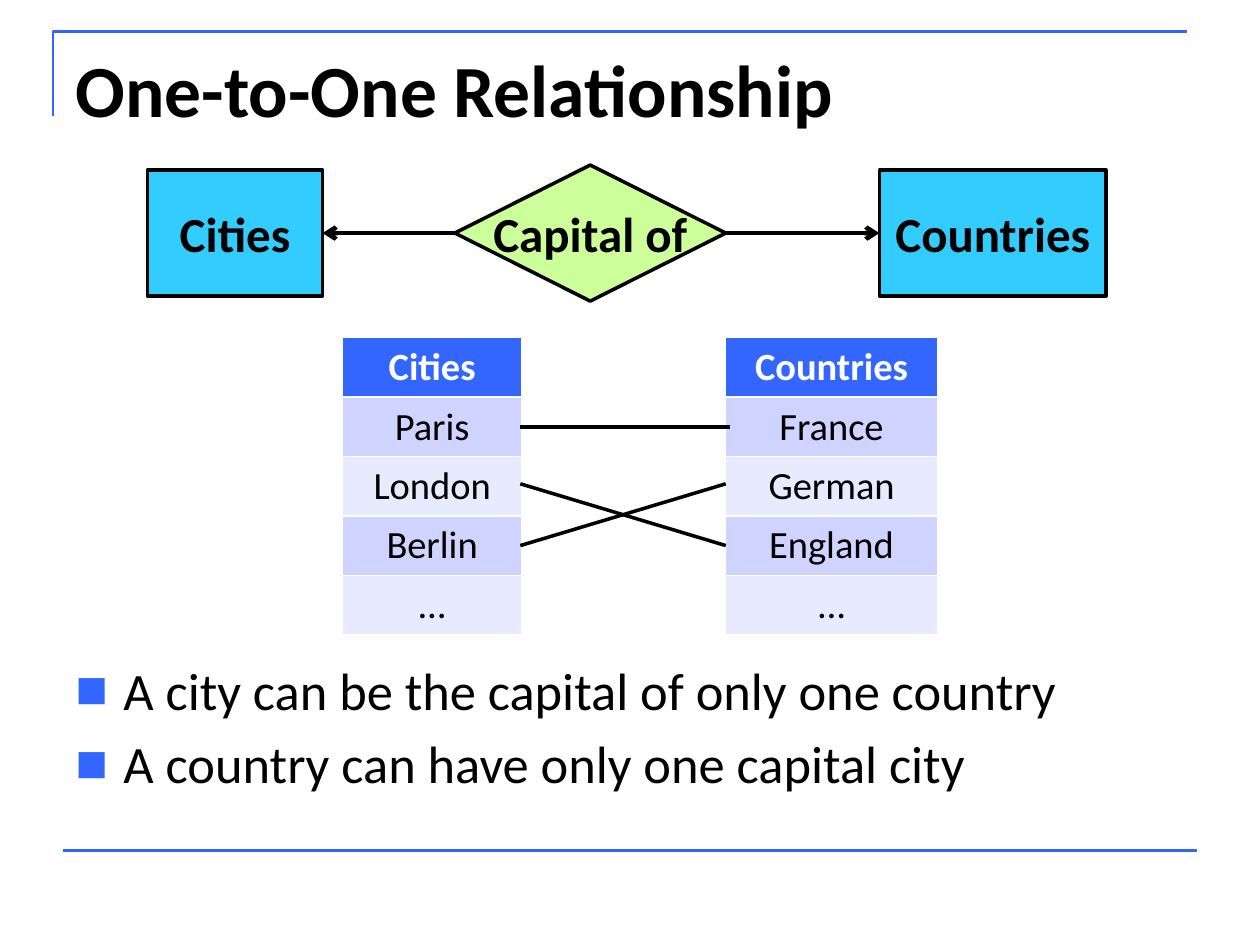
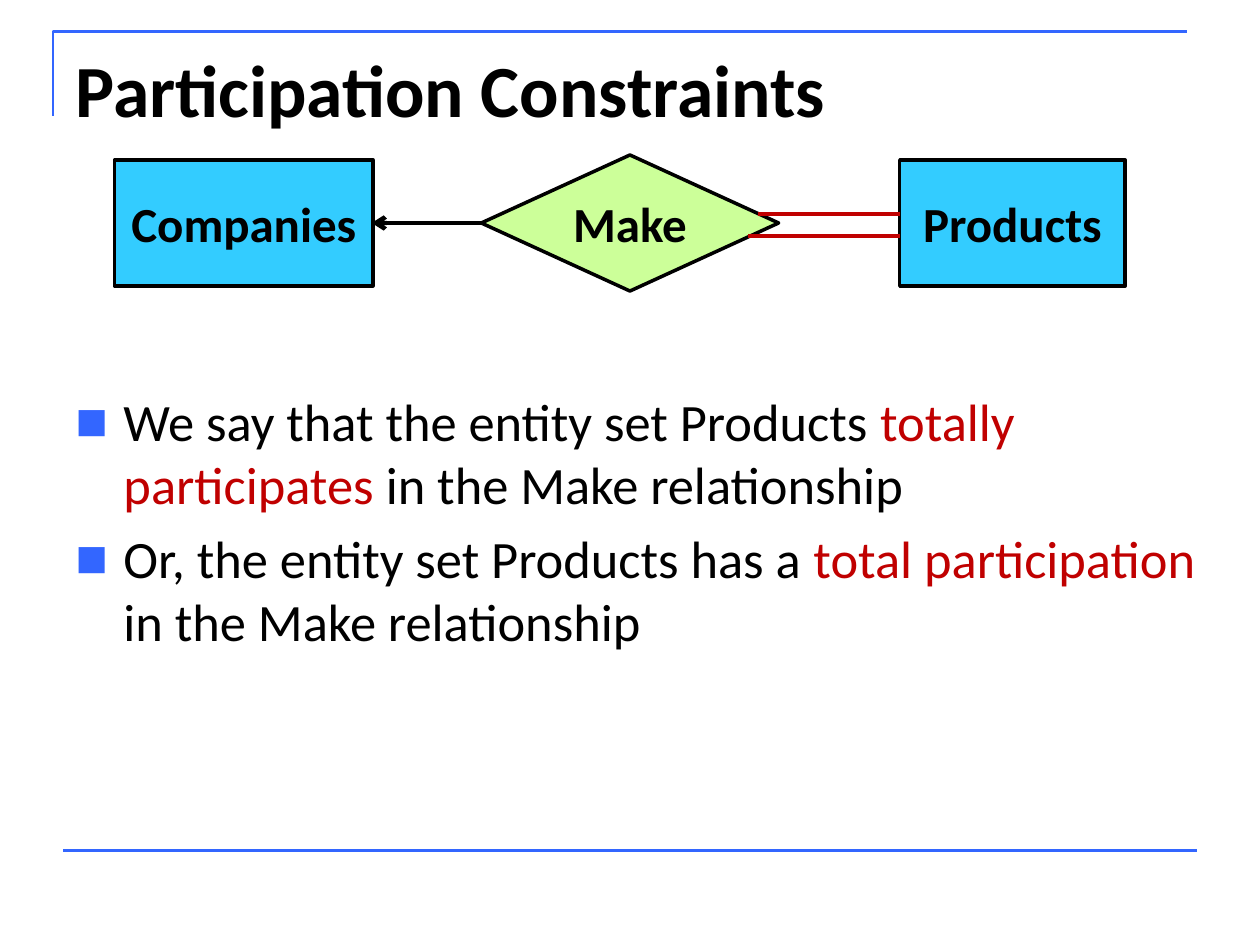
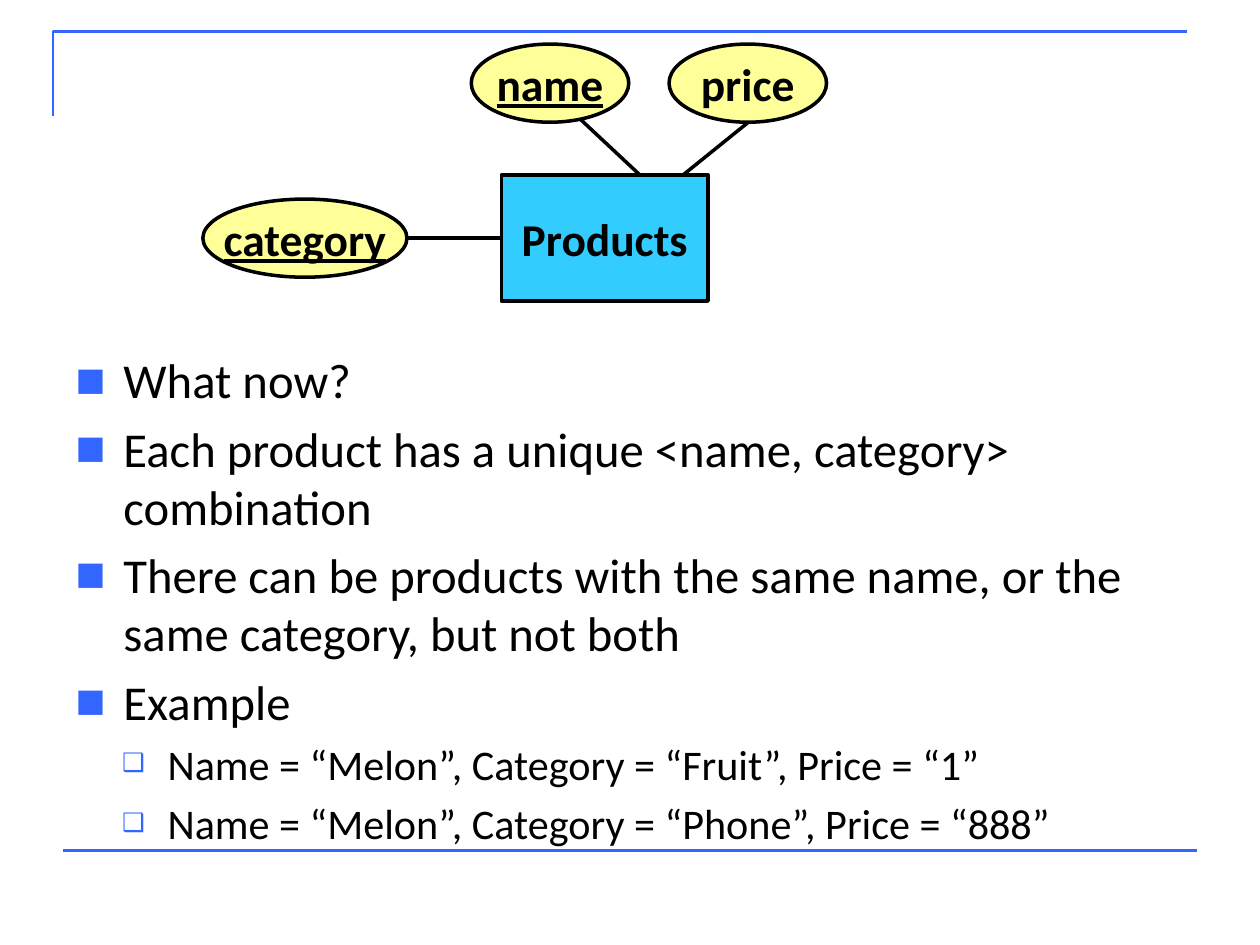
from dataclasses import dataclass

from lxml import etree
from pptx import Presentation
from pptx.dml.color import RGBColor
from pptx.enum.shapes import MSO_CONNECTOR, MSO_SHAPE
from pptx.enum.text import MSO_ANCHOR, MSO_AUTO_SIZE, PP_ALIGN
from pptx.oxml.ns import qn
from pptx.util import Inches, Pt

RECTANGLE, DIAMOND, OVAL = MSO_SHAPE.RECTANGLE, MSO_SHAPE.DIAMOND, MSO_SHAPE.OVAL
STRAIGHT = MSO_CONNECTOR.STRAIGHT
CENTER, LEFT = PP_ALIGN.CENTER, PP_ALIGN.LEFT
TOP, MIDDLE = MSO_ANCHOR.TOP, MSO_ANCHOR.MIDDLE
NO_AUTOFIT = MSO_AUTO_SIZE.NONE
TITLE_AND_CONTENT = 1


@dataclass(frozen=True)
class Theme:
    font: str = "Calibri"
    ink: str = "000000"
    paper: str = "FFFFFF"
    blue: str = "3366FF"
    accent: str = "C00000"
    entity: str = "33CCFF"
    relationship: str = "CCFF99"
    attribute: str = "FFFF99"
    row_bands: tuple = ("CED3FF", "E8EAFF")
    title_size: float = 42
    list_size: float = 30
    label_size: float = 28
    attribute_size: float = 26
    table_size: float = 22
    frame_line: float = 1.5
    outline: float = 2
    arrow_line: float = 2.5
    total_line: float = 2.25


THEME = Theme()
# Bullet character, size in percent, left margin and hanging indent, by level
BULLETS = [("■", 65, 0.38, 0.38), ("❑", 60, 0.73, 0.36)]


def rgb(color):
    return RGBColor.from_string(color)


def style_font(font, size, color=THEME.ink, bold=False):
    font.name = THEME.font
    font.size = Pt(size)
    font.bold = bold
    font.color.rgb = rgb(color)


def style_line(line, color, width):
    line.color.rgb = rgb(color)
    line.width = Pt(width)


def place(shape, left, top, width, height):
    shape.left, shape.top = Inches(left), Inches(top)
    shape.width, shape.height = Inches(width), Inches(height)


def add_line(page, start, end, color=THEME.ink, width=THEME.outline, arrow=False):
    ends = [Inches(value) for value in (*start, *end)]
    connector = page.shapes.add_connector(STRAIGHT, *ends)
    style_line(connector.line, color, width)
    if arrow:
        etree.SubElement(connector.line._get_or_add_ln(), qn("a:tailEnd"), type="arrow")
    etree.SubElement(connector._element.spPr, qn("a:effectLst"))


def add_frame(page):
    """Draw the corner rule at the top left and the rule at the foot."""
    corner = page.shapes.build_freeform(Inches(0.42), Inches(0.92))
    corner.add_line_segments(
        [(Inches(0.42), Inches(0.25)), (Inches(9.42), Inches(0.25))], close=False)
    rule = corner.convert_to_shape()
    rule.fill.background()
    rule.shadow.inherit = False
    style_line(rule.line, THEME.blue, THEME.frame_line)
    add_line(page, (0.5, 6.75), (9.5, 6.75), THEME.blue, THEME.frame_line)


def add_page(deck, title=None):
    page = deck.slides.add_slide(deck.slide_layouts[TITLE_AND_CONTENT])
    add_frame(page)
    heading = page.shapes.title
    if title is None:
        heading._element.getparent().remove(heading._element)
        return page
    place(heading, 0.5, 0.3, 9, 1.25)
    frame = heading.text_frame
    frame.text = title
    frame.auto_size = NO_AUTOFIT
    frame.vertical_anchor = TOP
    para = frame.paragraphs[0]
    para.alignment = LEFT
    style_font(para.runs[0].font, THEME.title_size, bold=True)
    return page


def add_bullet(para, level):
    character, percent, margin, hanging = BULLETS[level]
    para.level = level
    props = para._p.get_or_add_pPr()
    props.set("marL", str(Inches(margin)))
    props.set("indent", str(-Inches(hanging)))
    color = etree.SubElement(props, qn("a:buClr"))
    etree.SubElement(color, qn("a:srgbClr"), val=THEME.blue)
    etree.SubElement(props, qn("a:buSzPct"), val=str(percent * 1000))
    etree.SubElement(props, qn("a:buFont"), typeface=THEME.font)
    etree.SubElement(props, qn("a:buChar"), char=character)


def fill_list(page, bounds, items, sizes=(THEME.list_size,)):
    """Fill the body with (level, text) items; text between asterisks is accented."""
    body = page.placeholders[1]
    place(body, *bounds)
    frame = body.text_frame
    frame.auto_size = NO_AUTOFIT
    frame.vertical_anchor = TOP
    for index, (level, text) in enumerate(items):
        para = frame.paragraphs[0] if index == 0 else frame.add_paragraph()
        add_bullet(para, level)
        para.space_before = Pt(0.2 * sizes[level] if index else 0)
        for part, words in enumerate(text.split("*")):
            span = para.add_run()
            span.text = words
            style_font(span.font, sizes[level], THEME.accent if part % 2 else THEME.ink)


def add_node(page, kind, text, bounds, fill, size=THEME.label_size, key=False):
    """Add a labelled diagram shape; the label of a key is underlined."""
    node = page.shapes.add_shape(kind, *[Inches(value) for value in bounds])
    node.shadow.inherit = False
    node.fill.solid()
    node.fill.fore_color.rgb = rgb(fill)
    style_line(node.line, THEME.ink, THEME.outline)
    frame = node.text_frame
    frame.text = text
    frame.word_wrap = False
    frame.vertical_anchor = MIDDLE
    para = frame.paragraphs[0]
    para.alignment = CENTER
    font = para.runs[0].font
    style_font(font, size, bold=True)
    if key:
        font.underline = True


def add_entity(page, text, bounds, size=THEME.label_size):
    add_node(page, RECTANGLE, text, bounds, THEME.entity, size)


def add_relationship(page, text, bounds):
    add_node(page, DIAMOND, text, bounds, THEME.relationship)


def add_attribute(page, text, left, top, width, key=False):
    add_node(page, OVAL, text, (left, top, width, 0.62), THEME.attribute,
             THEME.attribute_size, key)


def add_arrow(page, start, end):
    add_line(page, start, end, width=THEME.arrow_line, arrow=True)


def add_column_table(page, left, width, values):
    """Add a one-column table whose first value is the header."""
    bounds = [Inches(value) for value in (left, 2.68, width, 2.33)]
    table = page.shapes.add_table(len(values), 1, *bounds).table
    for row, value in enumerate(values):
        header = row == 0
        cell = table.cell(row, 0)
        cell.fill.solid()
        cell.fill.fore_color.rgb = rgb(THEME.blue if header else THEME.row_bands[(row - 1) % 2])
        cell.text = value
        para = cell.text_frame.paragraphs[0]
        para.alignment = CENTER
        style_font(para.runs[0].font, THEME.table_size,
                   THEME.paper if header else THEME.ink, header)


def build_one_to_one(deck):
    page = add_page(deck, "One-to-One Relationship")
    fill_list(page, (0.5, 5.17, 9.3, 1.54), [
        (0, "A city can be the capital of only one country"),
        (0, "A country can have only one capital city"),
    ])
    add_entity(page, "Countries", (6.98, 1.35, 1.8, 1))
    add_entity(page, "Cities", (1.17, 1.35, 1.39, 1))
    add_relationship(page, "Capital of", (3.61, 1.31, 2.15, 1.08))
    add_arrow(page, (5.76, 1.85), (6.98, 1.85))
    add_arrow(page, (3.61, 1.85), (2.56, 1.85))
    add_column_table(page, 2.72, 1.42, ["Cities", "Paris", "London", "Berlin", "…"])
    add_column_table(page, 5.76, 1.68, ["Countries", "France", "German", "England", "…"])
    for city_y, country_x, country_y in [
            (3.39, 5.79, 3.39), (3.84, 5.76, 4.33), (4.33, 5.76, 3.84)]:
        add_line(page, (4.13, city_y), (country_x, country_y))


def build_participation(deck):
    page = add_page(deck, "Participation Constraints")
    fill_list(page, (0.5, 3.04, 9.22, 3.7), [
        (0, "We say that the entity set Products *totally participates* "
            "in the Make relationship"),
        (0, "Or, the entity set Products has a *total participation* "
            "in the Make relationship"),
    ])
    add_entity(page, "Products", (7.14, 1.27, 1.79, 1))
    add_entity(page, "Companies", (0.91, 1.27, 2.05, 1))
    add_relationship(page, "Make", (3.82, 1.23, 2.36, 1.08))
    add_arrow(page, (3.82, 1.77), (2.95, 1.77))
    for left, y in [(6.02, 1.7), (5.94, 1.87)]:
        add_line(page, (left, y), (7.14, y), THEME.accent, THEME.total_line)


def build_composite_key(deck):
    page = add_page(deck)
    fill_list(page, (0.5, 2.73, 9, 3.98), [
        (0, "What now?"),
        (0, "Each product has a unique <name, category> combination"),
        (0, "There can be products with the same name, or the same category, but not both"),
        (0, "Example"),
        (1, "Name = “Melon”, Category = “Fruit”, Price = “1”"),
        (1, "Name = “Melon”, Category = “Phone”, Price = “888”"),
    ], sizes=(27.8, 24.1))
    add_entity(page, "Products", (3.98, 1.39, 1.64, 1), THEME.attribute_size)
    add_attribute(page, "name", 3.74, 0.35, 1.25, key=True)
    add_attribute(page, "price", 5.31, 0.35, 1.25)
    add_attribute(page, "category", 1.61, 1.58, 1.62, key=True)
    add_line(page, (4.61, 0.95), (5.08, 1.39))
    add_line(page, (5.94, 0.97), (5.42, 1.39))
    add_line(page, (3.24, 1.89), (3.98, 1.89))


def main():
    deck = Presentation()
    deck.slide_width, deck.slide_height = Inches(10), Inches(7.5)
    build_one_to_one(deck)
    build_participation(deck)
    build_composite_key(deck)
    deck.save("out.pptx")


if __name__ == "__main__":
    main()
